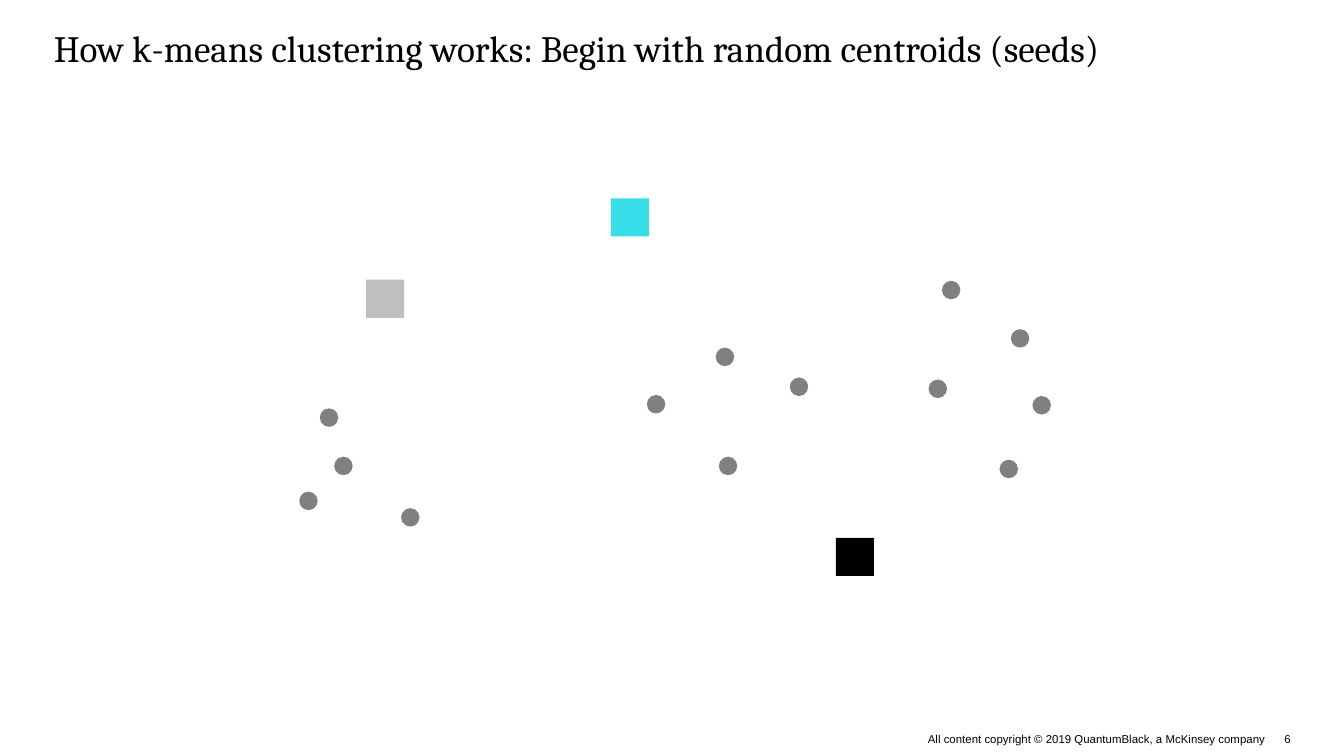
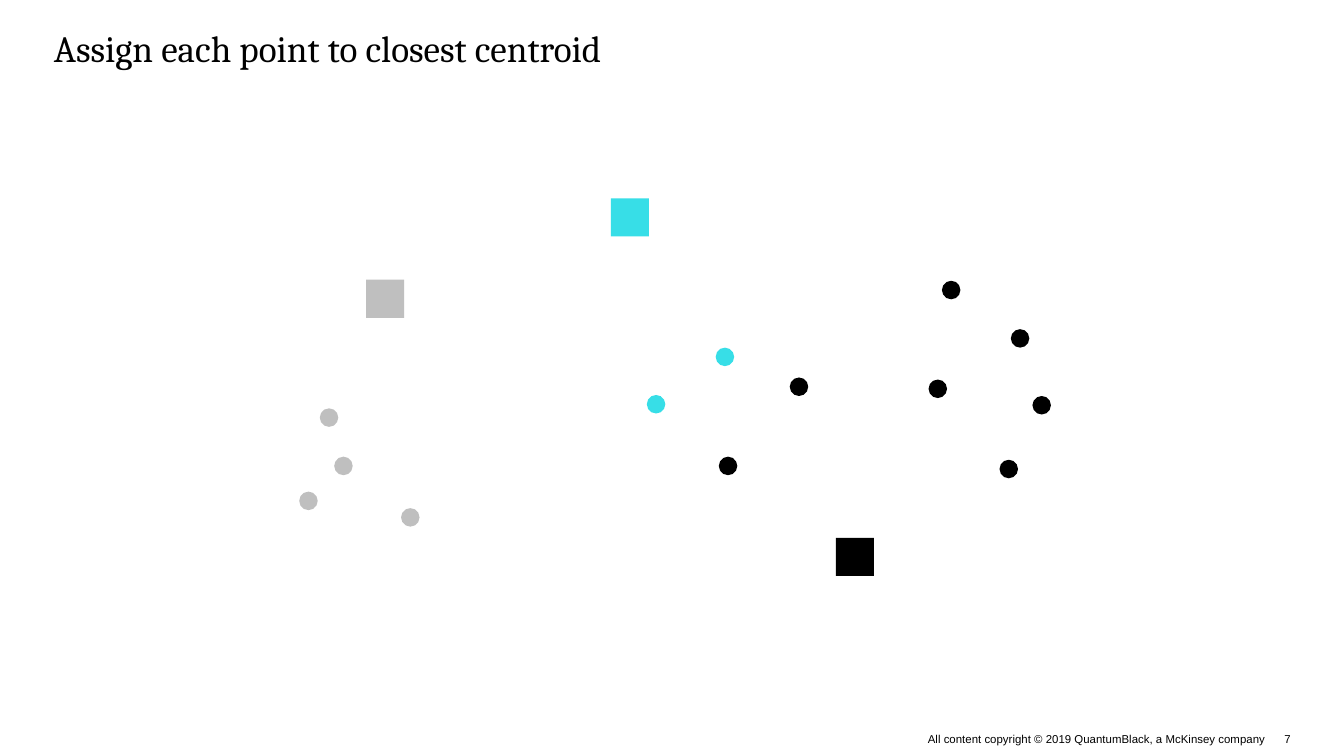
from math import dist
from pptx import Presentation, util as u
from pptx.dml.color import RGBColor
from pptx.enum import shapes, text

W, H = 13.07, 7.35
DOT, SEED = 0.18, 0.37
HUES = {"ink": "000000", "aqua": "37DEE7", "pale": "BFBFBF", "gray": "808080"}
SEEDS = {"aqua": (5.94, 1.93), "ink": (8.13, 5.23), "pale": (3.56, 2.72)}
DOTS = [
    (3.11, 3.97), (3.25, 4.44), (2.91, 4.78), (3.9, 4.94),
    (6.29, 3.84), (6.96, 3.38), (6.99, 4.44), (7.68, 3.67),
    (9.16, 2.73), (9.03, 3.69), (9.83, 3.2), (10.04, 3.85), (9.72, 4.47),
]
CREDIT = "All content copyright © 2019 QuantumBlack, a McKinsey company "


def share(x, y, w, h):
    return [u.Inches(part * size / 100) for part, size in zip((x, y, w, h), (W, H, W, H))]


def color(hue):
    return RGBColor.from_string(HUES[hue])


def write(box, words, font, size, anchor, align=text.PP_ALIGN.LEFT):
    frame = box.text_frame
    frame.margin_left = frame.margin_top = frame.margin_right = frame.margin_bottom = 0
    frame.word_wrap = True
    frame.auto_size = text.MSO_AUTO_SIZE.NONE
    frame.vertical_anchor = anchor
    para = frame.paragraphs[0]
    para.alignment = align
    run = para.add_run()
    run.text = words
    run.font.name = font
    run.font.size = u.Pt(size)
    run.font.color.rgb = color("ink")


def add_title(slide, words):
    box = slide.shapes.title
    box.left, box.top, box.width, box.height = share(4, 3.4, 92.4, 6)
    write(box, words, "Cambria", 26, text.MSO_ANCHOR.TOP)


def add_foot(slide, number):
    for words, left, width, align in (
        (str(number), 95.56, 1.07, text.PP_ALIGN.LEFT),
        (CREDIT, 68.78, 25.63, text.PP_ALIGN.RIGHT),
    ):
        box = slide.shapes.add_textbox(*share(left, 96.87, width, 1.77))
        write(box, words, "Arial", 8, text.MSO_ANCHOR.MIDDLE, align)


def add_mark(tree, kind, spot, size, hue):
    x, y = spot
    mark = tree.add_shape(kind, *map(u.Inches, (x, y, size, size)))
    mark.shadow.inherit = False
    mark.fill.solid()
    mark.fill.fore_color.rgb = color(hue)
    mark.line.fill.background()


def middle(spot, size):
    return [edge + size / 2 for edge in spot]


def closest(spot):
    return min(SEEDS, key=lambda hue: dist(middle(spot, DOT), middle(SEEDS[hue], SEED)))


def unsorted(spot):
    return "gray"


def add_plot(tree, rule):
    for spot in DOTS:
        add_mark(tree, shapes.MSO_SHAPE.OVAL, spot, DOT, rule(spot))
    for hue, spot in SEEDS.items():
        add_mark(tree, shapes.MSO_SHAPE.RECTANGLE, spot, SEED, hue)


def add_page(deck, number, title):
    slide = deck.slides.add_slide(deck.slide_layouts[5])
    add_foot(slide, number)
    add_title(slide, title)
    return slide


def main():
    deck = Presentation()
    deck.slide_width, deck.slide_height = u.Inches(W), u.Inches(H)
    start = add_page(deck, 6, "How k-means clustering works: Begin with random centroids (seeds)")
    add_plot(start.shapes.add_group_shape().shapes, unsorted)
    step = add_page(deck, 7, "Assign each point to closest centroid")
    add_plot(step.shapes, closest)
    deck.save("out.pptx")


if __name__ == "__main__":
    main()
